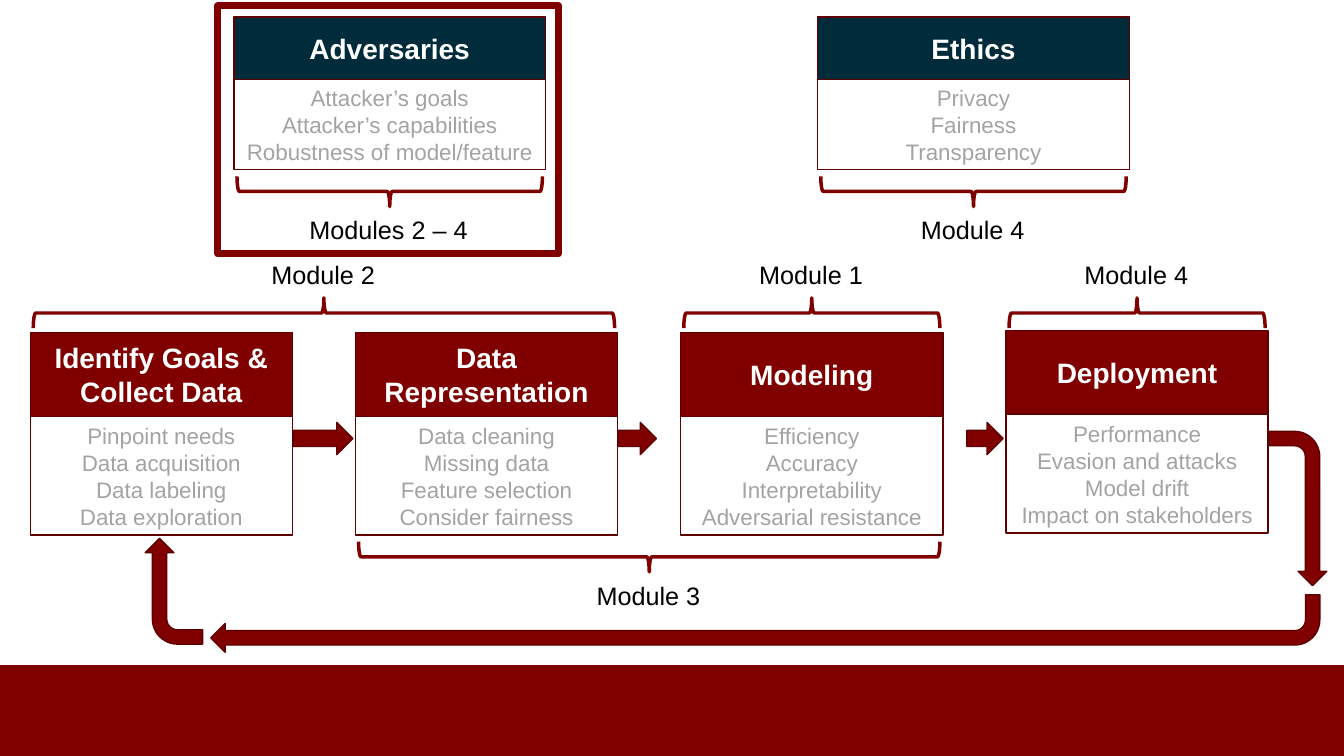
from pptx import Presentation
from pptx.dml.color import RGBColor
from pptx.enum.shapes import MSO_SHAPE
from pptx.enum.text import MSO_ANCHOR, MSO_AUTO_SIZE, PP_ALIGN
from pptx.util import Inches, Pt

RECT, BRACE = MSO_SHAPE.RECTANGLE, MSO_SHAPE.RIGHT_BRACE
ARROW, BENT = MSO_SHAPE.RIGHT_ARROW, MSO_SHAPE.BENT_ARROW
MIDDLE, CENTER = MSO_ANCHOR.MIDDLE, PP_ALIGN.CENTER
FIT = MSO_AUTO_SIZE.SHAPE_TO_FIT_TEXT

MAROON = RGBColor(0x80, 0x00, 0x00)
EDGE = RGBColor(0x5F, 0x00, 0x00)
NAVY = RGBColor(0x00, 0x2B, 0x3B)
GRAY = RGBColor(0xA1, 0xA4, 0xA1)
WHITE = RGBColor(0xFF, 0xFF, 0xFF)
BLACK = RGBColor(0x00, 0x00, 0x00)

# Content: heading, lines, top, arrow (left, width)
STAGES = [
    ("Identify Goals & Collect Data",
     ["Pinpoint needs", "Data acquisition", "Data labeling", "Data exploration"],
     3.3, (2.91, 0.59)),
    ("Data Representation",
     ["Data cleaning", "Missing data", "Feature selection", "Consider fairness"],
     3.3, (6.13, 0.38)),
    ("Modeling",
     ["Efficiency", "Accuracy", "Interpretability", "Adversarial resistance"],
     3.3, (9.59, 0.36)),
    ("Deployment",
     ["Performance", "Evasion and attacks", "Model drift", "Impact on stakeholders"],
     3.28, None),
]
THEMES = [
    ("Adversaries",
     ["Attacker’s goals", "Attacker’s capabilities", "Robustness of model/feature"],
     "Modules 2 – 4", 1.79),
    ("Ethics", ["Privacy", "Fairness", "Transparency"], "Module 4", 1.24),
]
# Label, first stage, last stage, brace above the row
SPANS = [("Module 2", 0, 1, True), ("Module 1", 2, 2, True),
         ("Module 4", 3, 3, True), ("Module 3", 1, 2, False)]
# Return loop: left, top, width, turn
LOOP = [(12.11, 4.76, 1.53, 90), (2.09, 5.9, 11, 180), (1.2, 5.58, 1.05, 270)]

# Grid, in inches
WIDE, HIGH = 13.33, 7.5
LEFT, STEP, STAGE_W = 0.3, 3.226, 2.6
THEME_X, THEME_STEP, THEME_W, THEME_Y = 2.32, 5.79, 3.09, 0.17
THICK, BEND, INSET = 0.3, 0.57, 0.06


def add(shapes, kind, x, y, w, h, fill=None, line=EDGE, width=1):
    shape = shapes.add_shape(kind, Inches(x), Inches(y), Inches(w), Inches(h))
    shape.shadow.inherit = False
    if fill is None:
        shape.fill.background()
    else:
        shape.fill.solid()
        shape.fill.fore_color.rgb = fill
    if line is None:
        shape.line.fill.background()
    else:
        shape.line.color.rgb = line
        shape.line.width = Pt(width)
    return shape


def write(shape, text, size, color, bold=False, align=None):
    frame = shape.text_frame
    frame.text = text
    for para in frame.paragraphs:
        para.alignment = align
        for run in para.runs:
            font = run.font
            font.name, font.size, font.bold = "Arial", Pt(size), bold
            font.color.rgb = color
    return frame


def card(shapes, head, lines, x, y, w, sizes, fill):
    group = shapes.add_group_shape().shapes
    top, body = sizes
    title = add(group, RECT, x, y, w, top, fill)
    items = add(group, RECT, x, y + top, w, body, WHITE)
    write(title, head, 20, WHITE, True, CENTER)
    write(items, "\n".join(lines), 16, GRAY, False, CENTER)
    for part in (title, items):
        part.text_frame.word_wrap = True
        part.text_frame.vertical_anchor = MIDDLE
    return group


def brace(shapes, text, x, w, mid, up=False, wide=1.24):
    center, size = x + w / 2, w - INSET
    mark = add(shapes, BRACE, center - THICK / 2, mid - size / 2,
               THICK, size, None, MAROON, 2.5)
    mark.rotation = 270 if up else 90
    y = mid - 0.585 if up else mid + 0.18
    label = shapes.add_textbox(Inches(center - wide / 2), Inches(y),
                               Inches(wide), Inches(0.4))
    frame = write(label, text, 18, BLACK)
    frame.word_wrap = False
    frame.auto_size = FIT


def main():
    deck = Presentation()
    deck.slide_width, deck.slide_height = Inches(WIDE), Inches(HIGH)
    shapes = deck.slides.add_slide(deck.slide_layouts[6]).shapes

    # Footer band
    add(shapes, RECT, 0, HIGH * 0.88, WIDE, HIGH * 0.12, MAROON, None)

    # Themes with the braces below them
    for i, (head, lines, label, wide) in enumerate(THEMES):
        x = THEME_X + i * THEME_STEP
        card(shapes, head, lines, x, THEME_Y, THEME_W, (0.62, 0.89), NAVY)
        brace(shapes, label, x, THEME_W, 1.9, wide=wide)

    # Return loop
    for x, y, w, turn in LOOP:
        add(shapes, BENT, x, y, w, BEND, MAROON).rotation = turn

    # Stages and the arrows between them
    for i, (head, lines, y, arrow) in enumerate(STAGES):
        group = card(shapes, head, lines, LEFT + i * STEP, y, STAGE_W,
                     (0.83, 1.18), MAROON)
        if arrow:
            x, w = arrow
            add(group, ARROW, x, 4.19, w, 0.32, MAROON)

    # Module spans
    for label, first, last, up in SPANS:
        brace(shapes, label, LEFT + first * STEP,
              (last - first) * STEP + STAGE_W, 3.105 if up else 5.525, up)

    # Frame around the first theme
    add(shapes, RECT, 2.16, 0.06, 3.38, 2.46, None, MAROON, 5)

    deck.save("out.pptx")


if __name__ == "__main__":
    main()
